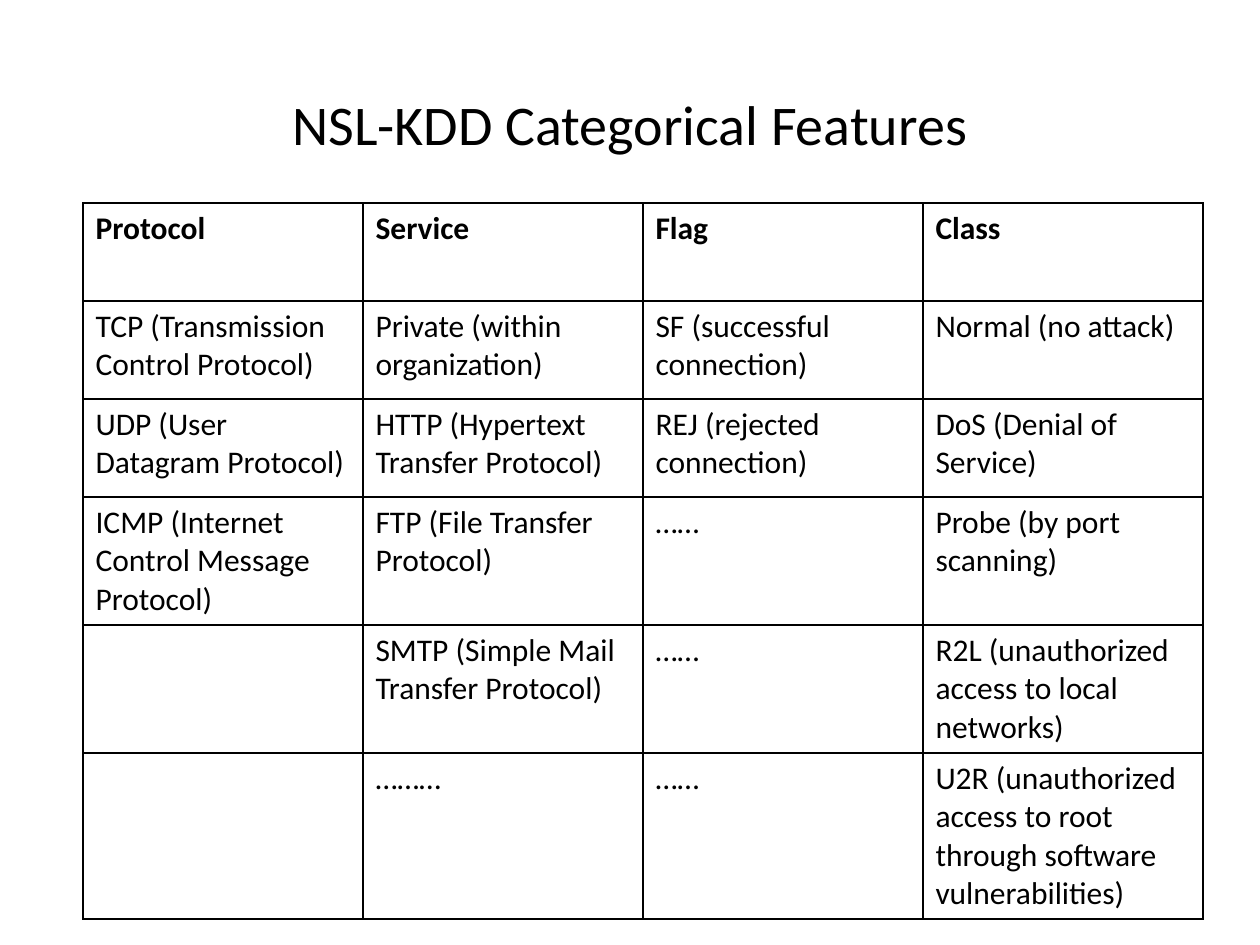
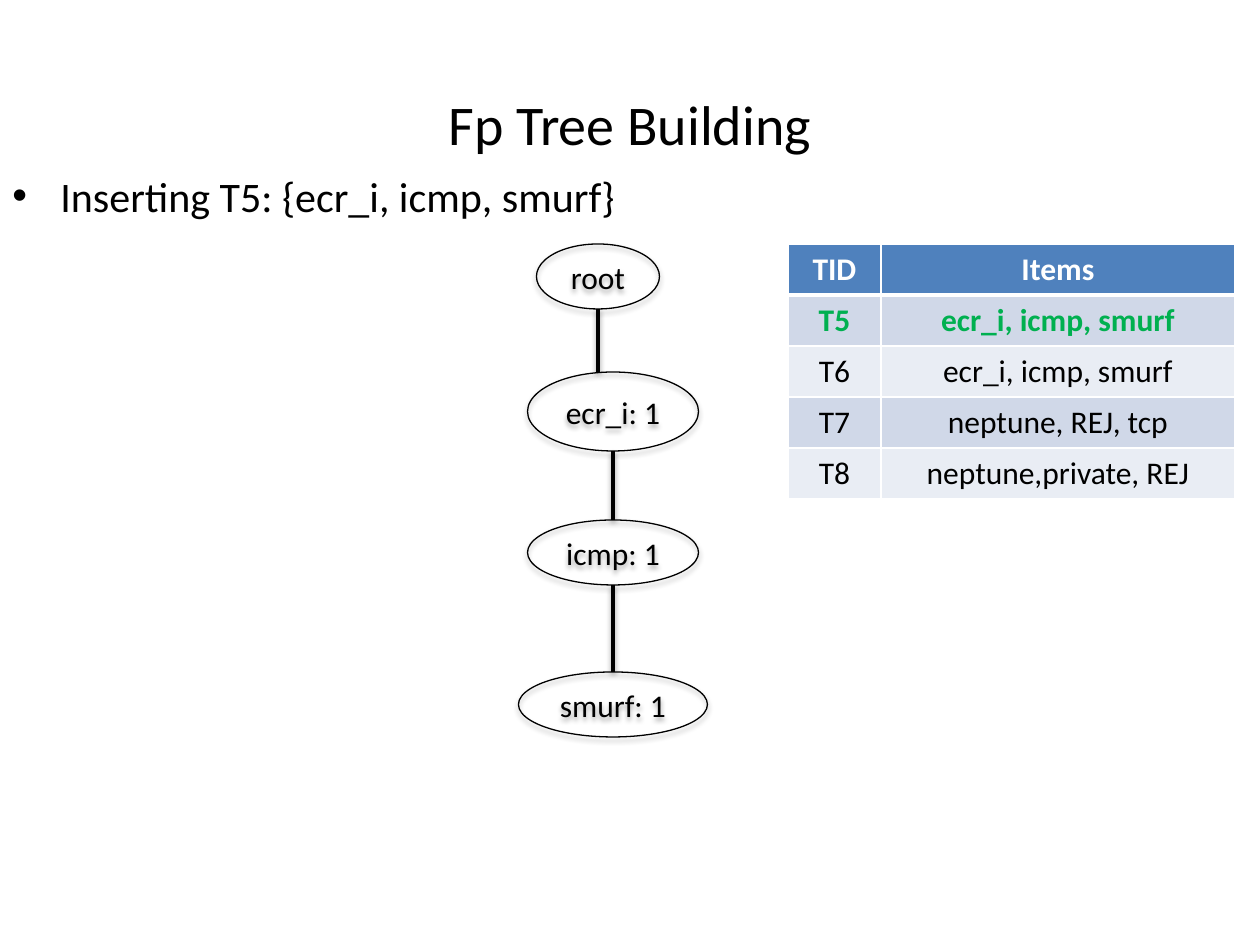
from dataclasses import dataclass
from typing import NamedTuple

import pptx
import pptx.dml.color
import pptx.enum.shapes
import pptx.enum.text
import pptx.oxml.ns
import pptx.util
from lxml import etree

PX = 914400 / 126
QN = pptx.oxml.ns.qn
CENTER = pptx.enum.text.PP_ALIGN.CENTER
LEFT = pptx.enum.text.PP_ALIGN.LEFT
MIDDLE = pptx.enum.text.MSO_ANCHOR.MIDDLE


@dataclass(frozen=True)
class Theme:
    """Colours and type sizes shared by the slides."""
    font: str = "Calibri"
    ink: str = "000000"
    paper: str = "FFFFFF"
    header: str = "4F81BD"
    bands: tuple = ("D0D8E8", "E9EDF4")
    highlight: str = "00B050"
    title_size: int = 32
    body_size: int = 24
    label_size: int = 18
    outline: float = 0.75
    branch: float = 2
    rule: float = 1
    header_rule: float = 3


class Box(NamedTuple):
    """A region of the slide in px."""
    left: int
    top: int
    width: int
    height: int


class Node(NamedTuple):
    """A tree node: its text, centre and top within the tree, and its size."""
    text: str
    center: int
    top: int
    width: int
    height: int


THEME = Theme()
TITLE = Box(0, 83, 1260, 81)
BODY = Box(0, 164, 1260, 781)

FEATURES = [
    ["Protocol", "Service", "Flag", "Class"],
    ["TCP (Transmission Control Protocol)", "Private (within organization)",
     "SF (successful connection)", "Normal (no attack)"],
    ["UDP (User Datagram Protocol)", "HTTP (Hypertext Transfer Protocol)",
     "REJ (rejected connection)", "DoS (Denial of Service)"],
    ["ICMP (Internet Control Message Protocol)", "FTP (File Transfer Protocol)",
     "……", "Probe (by port scanning)"],
    ["", "SMTP (Simple Mail Transfer Protocol)", "……",
     "R2L (unauthorized access to local networks)"],
    ["", "………", "……",
     "U2R (unauthorized access to root through software vulnerabilities)"],
]
TRANSACTIONS = [
    ["TID", "Items"],
    ["T5", "ecr_i, icmp, smurf"],
    ["T6", "ecr_i, icmp, smurf"],
    ["T7", "neptune, REJ, tcp"],
    ["T8", "neptune,private, REJ"],
]
TREE = [
    Node("root", 79, 0, 123, 65),
    Node("ecr_i: 1", 94, 128, 171, 79),
    Node("icmp: 1", 94, 276, 171, 65),
    Node("smurf: 1", 94, 428, 189, 65),
]


def px(value):
    """Turn px into EMU."""
    return pptx.util.Emu(round(value * PX))


def rgb(color):
    """Turn a hex string into a colour."""
    return pptx.dml.color.RGBColor.from_string(color)


def apply_format(target, values):
    """Set each format value on the target."""
    for name, value in values.items():
        setattr(target, name, value)


def write(frame, text, size, color=THEME.ink, bold=False, align=LEFT):
    """Write one formatted paragraph into a text frame."""
    paragraph = frame.paragraphs[0]
    paragraph.alignment = align
    if text:
        run = paragraph.add_run()
        run.text = text
        apply_format(run.font, {"name": THEME.font, "size": pptx.util.Pt(size), "bold": bold})
        run.font.color.rgb = rgb(color)
    return paragraph


def add_text(slide, box, text, size, **formats):
    """Add a wrapping text box and return its frame and paragraph."""
    frame = slide.shapes.add_textbox(*map(px, box)).text_frame
    frame.word_wrap = True
    return frame, write(frame, text, size, **formats)


def add_title(slide, box, text):
    """Add the centred slide title."""
    frame, _ = add_text(slide, box, text, THEME.title_size, align=CENTER)
    frame.vertical_anchor = MIDDLE


def add_bullet(slide, box, text, indent=48):
    """Add a bulleted line with a hanging indent."""
    _, paragraph = add_text(slide, box, text, THEME.body_size)
    properties = paragraph._p.get_or_add_pPr()
    apply_attributes = {"marL": px(indent), "indent": px(-indent)}
    for name, value in apply_attributes.items():
        properties.set(name, str(int(value)))
    etree.SubElement(properties, QN("a:buFont"), typeface="Arial")
    etree.SubElement(properties, QN("a:buChar"), char="•")


def set_borders(cell, color, widths):
    """Draw the left, right, top and bottom borders of a cell."""
    properties = cell._tc.get_or_add_tcPr()
    for side, width in zip("LRTB", widths):
        border = etree.SubElement(properties, QN(f"a:ln{side}"), w=str(int(pptx.util.Pt(width))))
        fill = etree.SubElement(border, QN("a:solidFill"))
        etree.SubElement(fill, QN("a:srgbClr"), val=color)


def add_grid(slide, origin, columns, heights, rows, style):
    """Add a table whose cells are formatted by style(row number)."""
    box = Box(*origin, sum(columns), sum(heights))
    table = slide.shapes.add_table(len(rows), len(columns), *map(px, box)).table
    apply_format(table, {"first_row": False, "horz_banding": False})
    for column, width in zip(table.columns, columns):
        column.width = px(width)
    for number, (row, height, texts) in enumerate(zip(table.rows, heights, rows)):
        row.height = px(height)
        look = style(number)
        for cell, text in zip(row.cells, texts):
            write(cell.text_frame, text, THEME.label_size, **look["text"])
            set_borders(cell, look["border"], look["widths"])
            if look["fill"]:
                cell.fill.solid()
                cell.fill.fore_color.rgb = rgb(look["fill"])
            else:
                cell.fill.background()


def feature_style(number):
    """Give the plain ruled look with a bold first row."""
    return {"text": {"bold": number == 0}, "fill": None,
            "border": THEME.ink, "widths": [THEME.rule] * 4}


def transaction_style(number):
    """Give the banded look with a header and a highlighted first entry."""
    colors = {0: THEME.paper, 1: THEME.highlight}
    top = THEME.header_rule if number == 1 else THEME.rule
    bottom = THEME.header_rule if number == 0 else THEME.rule
    return {"text": {"bold": number < 2, "color": colors.get(number, THEME.ink), "align": CENTER},
            "fill": THEME.bands[(number - 1) % 2] if number else THEME.header,
            "border": THEME.paper, "widths": [THEME.rule, THEME.rule, top, bottom]}


def set_line(shape, width, distance, opacity):
    """Give a shape a black line and a soft shadow below it."""
    shape.line.width = pptx.util.Pt(width)
    shape.line.color.rgb = rgb(THEME.ink)
    effects = etree.SubElement(shape._element.spPr, QN("a:effectLst"))
    shadow = etree.SubElement(effects, QN("a:outerShdw"), blurRad=str(int(pptx.util.Pt(3.1))),
                              dist=str(int(pptx.util.Pt(distance))), dir="5400000", rotWithShape="0")
    color = etree.SubElement(shadow, QN("a:srgbClr"), val=THEME.ink)
    etree.SubElement(color, QN("a:alpha"), val=str(opacity * 1000))


def add_tree(slide, origin, nodes):
    """Draw a chain of nodes, each joined to the one above."""
    left, top = origin
    for node in nodes:
        box = Box(left + node.center - node.width / 2, top + node.top, node.width, node.height)
        ellipse = slide.shapes.add_shape(pptx.enum.shapes.MSO_SHAPE.OVAL, *map(px, box))
        ellipse.fill.background()
        set_line(ellipse, THEME.outline, 1.8, 35)
        apply_format(ellipse.text_frame, {"word_wrap": False, "vertical_anchor": MIDDLE})
        write(ellipse.text_frame, node.text, THEME.label_size, align=CENTER)
    for parent, child in zip(nodes, nodes[1:]):
        x = left + parent.center
        ends = (x, top + parent.top + parent.height, x, top + child.top)
        branch = slide.shapes.add_connector(pptx.enum.shapes.MSO_CONNECTOR.STRAIGHT, *map(px, ends))
        set_line(branch, THEME.branch, 1.6, 38)


def build_features(slide):
    """Build the slide of categorical features."""
    add_title(slide, TITLE, "NSL-KDD Categorical Features")
    add_grid(slide, (83, 203), [280] * 4, [98, 98, 98, 128, 128, 166], FEATURES, feature_style)


def build_tree(slide):
    """Build the slide that inserts one transaction into the tree."""
    add_title(slide, TITLE, "Fp Tree Building")
    add_bullet(slide, BODY, "Inserting T5: {ecr_i, icmp, smurf}")
    add_tree(slide, (519, 244), TREE)
    add_grid(slide, (788, 244), [93, 354], [51] * len(TRANSACTIONS), TRANSACTIONS, transaction_style)


def main():
    """Build and save the deck."""
    deck = pptx.Presentation()
    apply_format(deck, {"slide_width": px(1260), "slide_height": px(945)})
    for build in (build_features, build_tree):
        build(deck.slides.add_slide(deck.slide_layouts[6]))
    deck.save("out.pptx")


if __name__ == "__main__":
    main()
